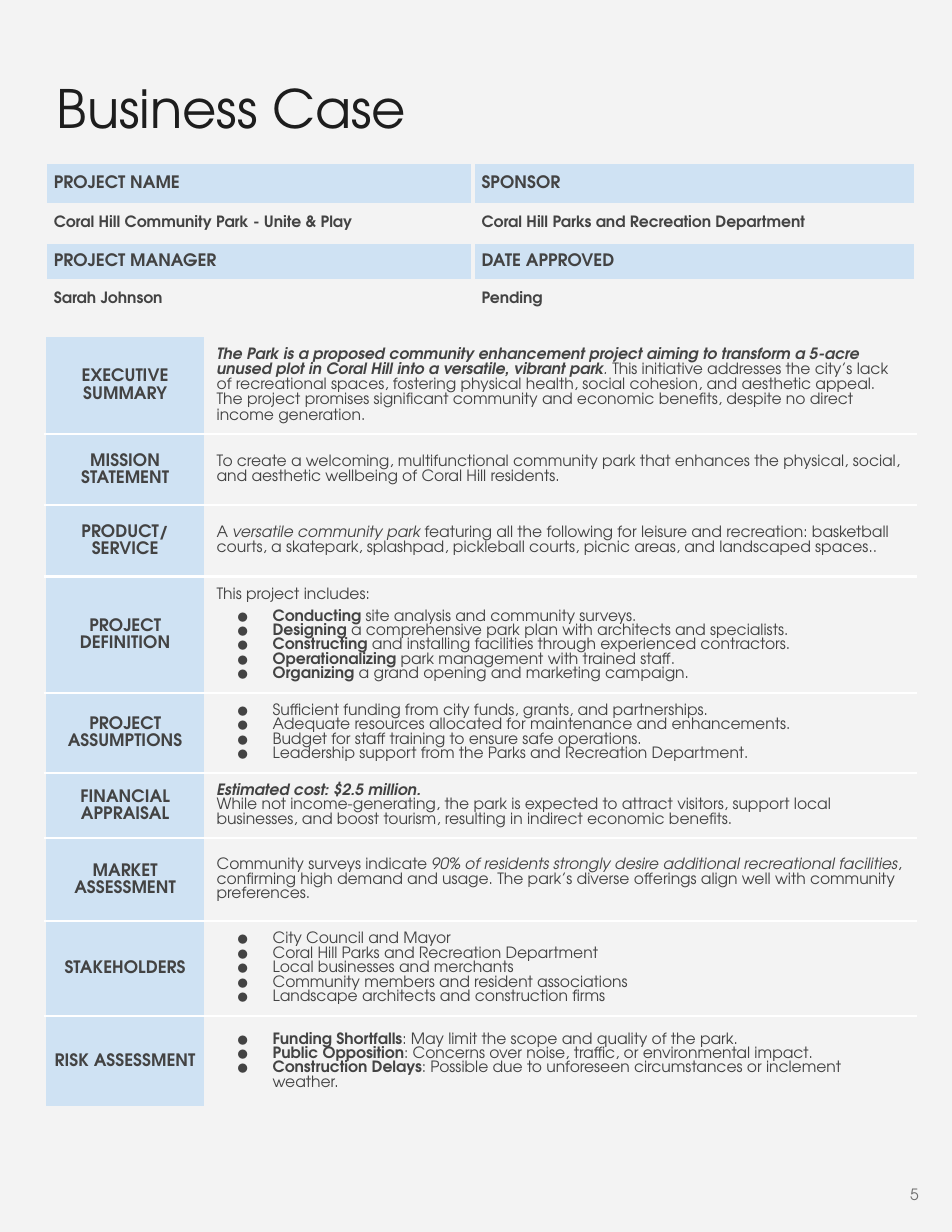
from pptx import Presentation
from pptx.dml.color import RGBColor
from pptx.enum.text import MSO_ANCHOR as Anchor, PP_ALIGN as Align
from pptx.oxml.ns import qn
from pptx.util import Inches, Pt
from lxml.etree import SubElement

PAPER = RGBColor(0xF3, 0xF3, 0xF3)
WHITE = RGBColor(0xFF, 0xFF, 0xFF)
BLUE = RGBColor(0xCF, 0xE2, 0xF3)
INK = RGBColor(0x43, 0x43, 0x43)
BLACK = RGBColor(0x1D, 0x1D, 0x1D)
GREY = RGBColor(0x6F, 0x6F, 0x6F)

FONT = "TeX Gyre Adventor"
GRID_COLUMNS, GRID_ROWS = 85, 110
LABEL_INSETS = (0.08, 0)
BODY_INSETS = (0.1, 0.1)

FACTS = [
    ("PROJECT NAME", "SPONSOR"),
    ("Coral Hill Community Park - Unite & Play", "Coral Hill Parks and Recreation Department"),
    ("PROJECT MANAGER", "DATE APPROVED"),
    ("Sarah Johnson", "Pending"),
]

TIGHT = {"line_spacing": Pt(9.25)}
LOOSE = {"line_spacing": Pt(9.75), "space_after": Pt(8)}
BULLET = {"bullet": True, **TIGHT}
FIRST_BULLET = {"space_before": Pt(5), **BULLET}


def plain(*texts, layout=TIGHT):
    return [([(text, "")], layout) for text in texts]


def led(lead, rest, layout=BULLET):
    return [([(lead, "b"), (rest, "")], layout)]


SECTIONS = [
    ("EXECUTIVE SUMMARY", 5.6, [([
        ("The Park is a proposed community enhancement project aiming to transform a 5-acre "
         "unused plot in Coral Hill into a versatile, vibrant park", "bi"),
        (".", "i"),
        (" This initiative addresses the city’s lack of recreational spaces, fostering physical "
         "health, social cohesion, and aesthetic appeal. The project promises significant "
         "community and economic benefits, despite no direct income generation.", "")], LOOSE)]),
    ("MISSION STATEMENT", 6.3, plain(
        "To create a welcoming, multifunctional community park that enhances the physical, "
        "social, and aesthetic wellbeing of Coral Hill residents.", layout=LOOSE)),
    ("PRODUCT/ SERVICE", 6.4, [([
        ("A ", ""),
        ("versatile community park", "i"),
        (" featuring all the following for leisure and recreation: basketball courts, a "
         "skatepark, splashpad, pickleball courts, picnic areas, and landscaped spaces..", "")], TIGHT)]),
    ("PROJECT DEFINITION", 5.4, plain("This project includes:")
     + led("Conducting", " site analysis and community surveys.", FIRST_BULLET)
     + led("Designing", " a comprehensive park plan with architects and specialists.")
     + led("Constructing", " and installing facilities through experienced contractors.")
     + led("Operationalizing", " park management with trained staff.")
     + led("Organizing", " a grand opening and marketing campaign.")),
    ("PROJECT ASSUMPTIONS", 5.2, plain(
        "Sufficient funding from city funds, grants, and partnerships.",
        "Adequate resources allocated for maintenance and enhancements.",
        "Budget for staff training to ensure safe operations.",
        "Leadership support from the Parks and Recreation Department.", layout=BULLET)),
    ("FINANCIAL APPRAISAL", 5.4, [([("Estimated cost: $2.5 million.", "bi")], TIGHT)] + plain(
        "While not income-generating, the park is expected to attract visitors, support local "
        "businesses, and boost tourism, resulting in indirect economic benefits.")),
    ("MARKET ASSESSMENT", 7.4, [([
        ("Community surveys indicate ", ""),
        ("90% of residents strongly desire additional recreational facilities", "i"),
        (", confirming high demand and usage. The park’s diverse offerings align well with "
         "community preferences.", "")], TIGHT)]),
    ("STAKEHOLDERS", 5.8, plain(
        "City Council and Mayor",
        "Coral Hill Parks and Recreation Department",
        "Local businesses and merchants",
        "Community members and resident associations",
        "Landscape architects and construction firms", layout=BULLET)),
    ("RISK ASSESSMENT", 8.2,
     led("Funding Shortfalls", ": May limit the scope and quality of the park.")
     + led("Public Opposition", ": Concerns over noise, traffic, or environmental impact.")
     + led("Construction Delays", ": Possible due to unforeseen circumstances or inclement weather.")),
]


class PageBuilder:
    def __init__(self, deck):
        self.deck = deck
        self.page = deck.slides.add_slide(deck.slide_layouts[6])
        self.page.background.fill.solid()
        self.page.background.fill.fore_color.rgb = PAPER

    def across(self, columns):
        return round(self.deck.slide_width * columns / GRID_COLUMNS)

    def down(self, rows):
        return round(self.deck.slide_height * rows / GRID_ROWS)

    def style(self, span, size, color, marks=""):
        span.font.name = FONT
        span.font.size = Pt(size)
        span.font.color.rgb = color
        span.font.bold = "b" in marks
        span.font.italic = "i" in marks

    def text(self, content, left, top, width, height, size, color, align=Align.LEFT):
        box = self.page.shapes.add_textbox(
            self.across(left), self.down(top), self.across(width), self.down(height))
        frame = box.text_frame
        frame.word_wrap = True
        frame.margin_left = frame.margin_right = Inches(0.1)
        frame.margin_top = frame.margin_bottom = Inches(0.1)
        frame.text = content
        para = frame.paragraphs[0]
        para.alignment = align
        self.style(para.runs[0], size, color)

    def table(self, left, top, columns, rows):
        shape = self.page.shapes.add_table(
            len(rows), len(columns), self.across(left), self.down(top),
            self.across(sum(columns)), self.down(sum(rows)))
        table = shape.table
        table.first_row = table.horz_banding = False
        for column, width in zip(table.columns, columns):
            column.width = self.across(width)
        for row, height in zip(table.rows, rows):
            row.height = self.down(height)
        return table

    def cell(self, cell, paragraphs, size, insets, fill=None, edges=(PAPER, PAPER), weight=1.5):
        cell.vertical_anchor = Anchor.MIDDLE
        cell.margin_left = cell.margin_right = Inches(insets[0])
        cell.margin_top = cell.margin_bottom = Inches(insets[1])
        self.borders(cell, edges, weight)
        if fill is None:
            cell.fill.background()
        else:
            cell.fill.solid()
            cell.fill.fore_color.rgb = fill
        frame = cell.text_frame
        frame.text = "\n".join("".join(text for text, _ in spans) for spans, _ in paragraphs)
        for para, (spans, layout) in zip(frame.paragraphs, paragraphs):
            para.text = ""
            for text, marks in spans:
                span = para.add_run()
                span.text = text
                self.style(span, size, INK, marks)
            for name, value in layout.items():
                if name == "bullet":
                    self.bullet(para, size)
                else:
                    setattr(para, name, value)

    def bullet(self, para, size):
        props = para._p.get_or_add_pPr()
        props.set("marL", str(Inches(0.5)))
        props.set("indent", str(Inches(-0.32)))
        color = SubElement(props, qn("a:buClr"))
        SubElement(color, qn("a:srgbClr"), val=str(INK))
        SubElement(props, qn("a:buSzPts"), val=str(size * 100))
        SubElement(props, qn("a:buFont"), typeface=FONT)
        SubElement(props, qn("a:buChar"), char="●")

    def borders(self, cell, edges, weight):
        props = cell._tc.get_or_add_tcPr()
        top, bottom = edges
        for side, color in zip("LRTB", (PAPER, PAPER, top, bottom)):
            line = SubElement(props, qn(f"a:ln{side}"), w=str(Pt(weight)))
            fill = SubElement(line, qn("a:solidFill"))
            SubElement(fill, qn("a:srgbClr"), val=str(color))

    def facts(self):
        table = self.table(4, 14.5, (38.2, 39.6), (3.8, 3.3, 3.5, 3.2))
        for index, row in enumerate(FACTS):
            size, fill = (10, None) if index % 2 else (11, BLUE)
            for column, text in enumerate(row):
                self.cell(table.cell(index, column), [([(text, "b")], {})],
                          size, LABEL_INSETS, fill, weight=3)

    def sections(self):
        table = self.table(4, 30, (14.35, 63.4), [height for _, height, _ in SECTIONS])
        heading = {"alignment": Align.CENTER, "line_spacing": 1.08,
                   "space_before": Pt(20), "space_after": Pt(20)}
        last = len(SECTIONS) - 1
        for index, (label, _, body) in enumerate(SECTIONS):
            edges = (WHITE if index else PAPER, WHITE if index < last else PAPER)
            self.cell(table.cell(index, 0), [([(label, "b")], heading)],
                      11, LABEL_INSETS, BLUE, edges)
            self.cell(table.cell(index, 1), body, 10, BODY_INSETS, None, edges)


def main():
    deck = Presentation()
    deck.slide_width, deck.slide_height = Inches(8.5), Inches(11)
    builder = PageBuilder(deck)
    builder.text("5", 77.9, 104.95, 5.1, 8.4, 10, GREY, Align.RIGHT)
    builder.text("Business Case", 4.1, 5.75, 79.4, 9.2, 34, BLACK)
    builder.facts()
    builder.sections()
    deck.save("out.pptx")


if __name__ == "__main__":
    main()
